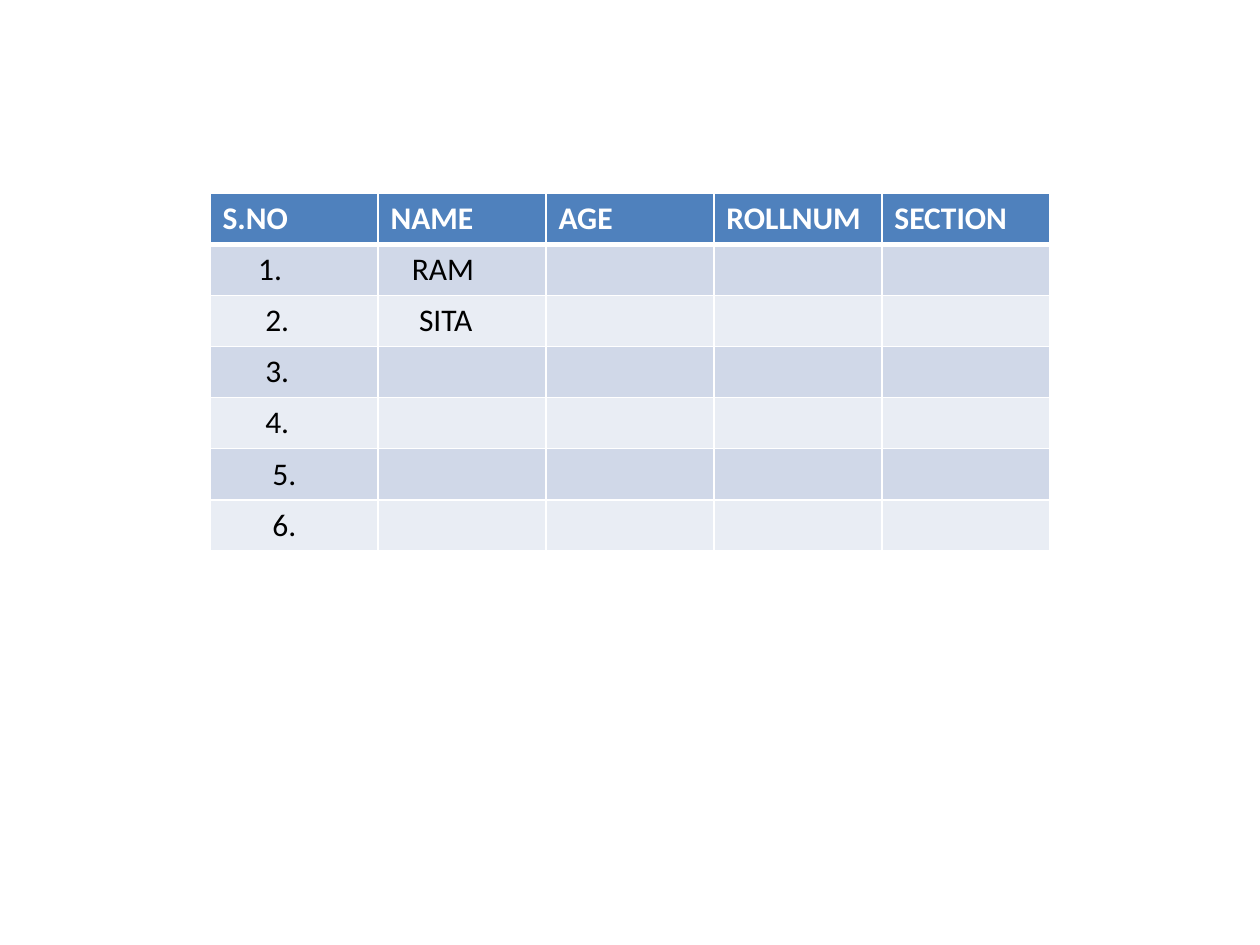
import pptx
import pptx.util
import pptx.dml.color
import pptx.oxml
import pptx.oxml.ns

Pt = pptx.util.Pt
RGB = pptx.dml.color.RGBColor

WHITE = RGB(0xFF, 0xFF, 0xFF)
BLACK = RGB(0, 0, 0)
BLUE = RGB(0x4F, 0x81, 0xBD)
BANDS = (RGB(0xE9, 0xED, 0xF4), RGB(0xD0, 0xD8, 0xE8))

HEADS = ["S.NO", "NAME", "AGE", "ROLLNUM", "SECTION"]
# Each filled cell: text and its indent in steps
ROWS = [
    [("1.", 5), ("RAM", 3)],
    [("2.", 6), ("SITA", 4)],
    [("3.", 6)],
    [("4.", 6)],
    [("5.", 7)],
    [("6.", 7)],
]

LEFT, TOP, WIDE, HIGH = 120, 110.4, 96, 29.2
PAD, STEP = 7.2, 4.07


def edge(cell, side, width):
    """Draw one white border; sides must come in the order L, R, T, B."""
    props = cell._tc.get_or_add_tcPr()
    props.append(pptx.oxml.parse_xml(
        f'<a:ln{side} {pptx.oxml.ns.nsdecls("a")} w="{Pt(width)}">'
        f'<a:solidFill><a:srgbClr val="{WHITE}"/></a:solidFill></a:ln{side}>'))


def style(cell, row):
    head = row == 0
    for side in "LRTB":
        thick = (row, side) in ((0, "B"), (1, "T"))
        edge(cell, side, 3 if thick else 1)
    cell.fill.solid()
    cell.fill.fore_color.rgb = BLUE if head else BANDS[row % 2]
    para = cell.text_frame.paragraphs[0]
    for font in [para.font] + [run.font for run in para.runs]:
        font.name = "Calibri"
        font.size = Pt(18)
        font.bold = head
        font.color.rgb = WHITE if head else BLACK


deck = pptx.Presentation()
deck.slide_width, deck.slide_height = Pt(720), Pt(540)
slide = deck.slides.add_slide(deck.slide_layouts[6])

grid = [[(head, 0) for head in HEADS]] + ROWS
count = len(HEADS)
table = slide.shapes.add_table(
    len(grid), count, Pt(LEFT), Pt(TOP),
    Pt(WIDE * count), Pt(HIGH * len(grid))).table

for col in table.columns:
    col.width = Pt(WIDE)
for row, items in enumerate(grid):
    table.rows[row].height = Pt(HIGH)
    for col, (text, steps) in enumerate(items):
        cell = table.cell(row, col)
        cell.text_frame.text = text
        cell.margin_left = Pt(PAD + STEP * steps)
    for col in range(count):
        style(table.cell(row, col), row)

deck.save("out.pptx")
